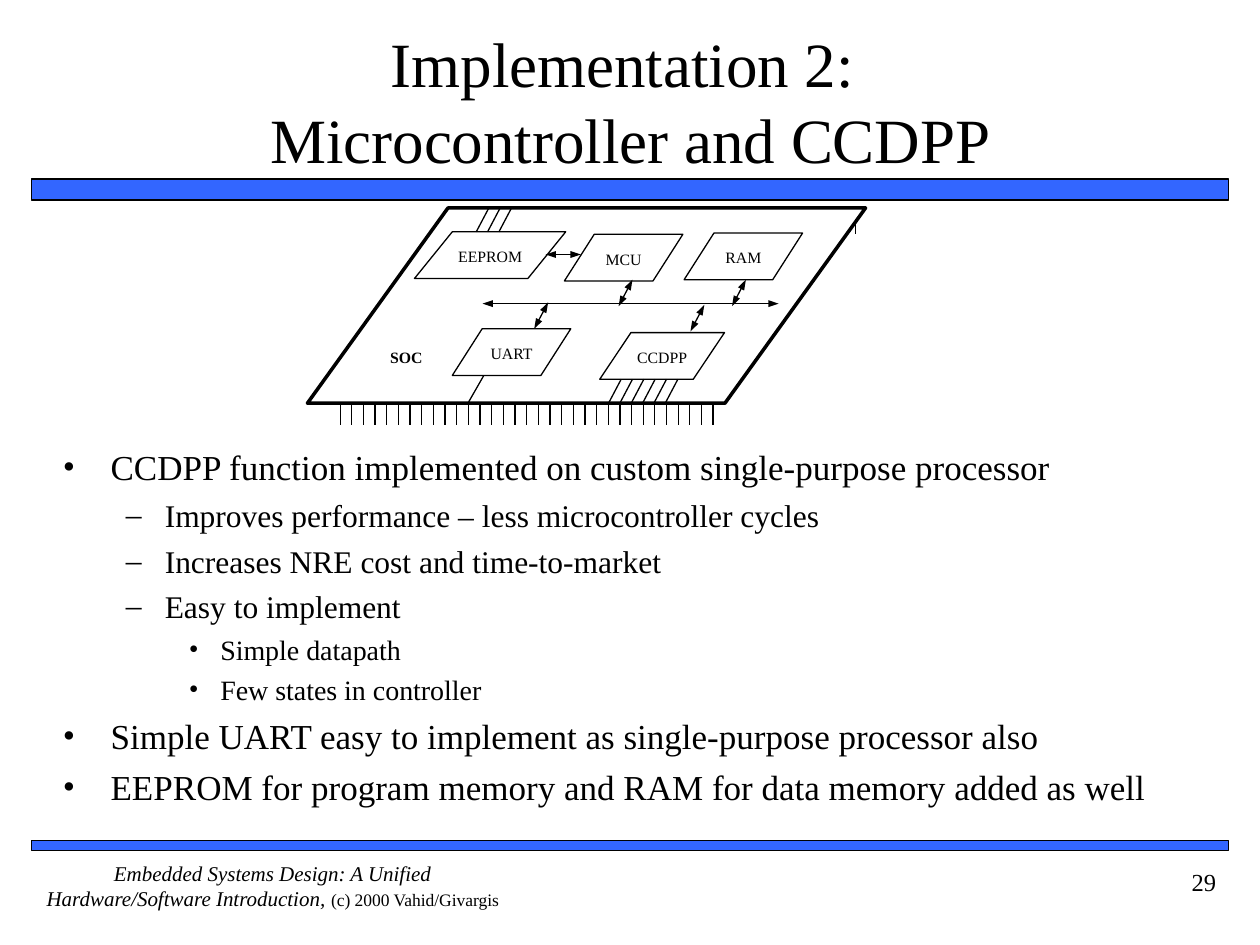
from lxml import etree
from pptx import Presentation
from pptx.dml.color import RGBColor
from pptx.enum.shapes import MSO_CONNECTOR as CONN, MSO_SHAPE as SHAPE
from pptx.enum.text import MSO_ANCHOR as ANCHOR, PP_ALIGN as ALIGN
from pptx.oxml.ns import qn
from pptx.util import Inches, Pt

COLORS = {"ink": "000000", "paper": "FFFFFF", "bar": "3366FF"}


class SlideBuilder:
    font = "Times New Roman"

    def __init__(self, slide):
        self.shapes = slide.shapes

    def color(self, name):
        return RGBColor.from_string(COLORS[name])

    def style(self, p, size, bold=False, italic=False):
        for r in p.runs:
            f = r.font
            f.name, f.size, f.bold, f.italic = self.font, Pt(size), bold, italic
            f.color.rgb = self.color("ink")

    def frame(self, sp, inset_x=0.1, inset_y=0.05, anchor=ANCHOR.TOP, wrap=True):
        tf = sp.text_frame
        tf.word_wrap, tf.vertical_anchor = wrap, anchor
        tf.margin_left = tf.margin_right = Inches(inset_x)
        tf.margin_top = tf.margin_bottom = Inches(inset_y)
        return tf

    def shape(self, kind, box, fill, line=None):
        sp = self.shapes.add_shape(kind, *map(Inches, box))
        sp.shadow.inherit = False
        sp.fill.solid()
        sp.fill.fore_color.rgb = self.color(fill)
        if line:
            sp.line.color.rgb = self.color("ink")
            sp.line.width = Pt(line)
        else:
            sp.line.fill.background()
        return sp

    def label(self, sp, text, bold=False):
        tf = self.frame(sp, wrap=False)
        tf.text = text
        p = tf.paragraphs[0]
        p.alignment = ALIGN.CENTER
        self.style(p, 9, bold)

    def block(self, text, box, skew):
        sp = self.shape(SHAPE.PARALLELOGRAM, box, "paper", 0.75)
        sp.adjustments[0] = skew
        self.label(sp, text)

    def line(self, x1, y1, x2, y2, arrows=False):
        c = self.shapes.add_connector(CONN.STRAIGHT, *map(Inches, (x1, y1, x2, y2)))
        c.line.color.rgb = self.color("ink")
        c.line.width = Pt(0.75)
        if arrows:
            ln = c.line._get_or_add_ln()
            for end in ("a:headEnd", "a:tailEnd"):
                etree.SubElement(ln, qn(end), type="triangle", w="sm", len="med")
        etree.SubElement(c._element.spPr, qn("a:effectLst"))

    def text(self, text, box, size, align, before=0, **frame):
        tf = self.frame(self.shapes.add_textbox(*map(Inches, box)), **frame)
        tf.text = text
        p = tf.paragraphs[0]
        p.alignment, p.space_before = align, Pt(before)
        self.style(p, size)
        return p

    def bullets(self, items, box, levels):
        tf = self.frame(self.shapes.add_textbox(*map(Inches, box)))
        tf.text = "\n".join(text for _, text in items)
        for p, (level, _) in zip(tf.paragraphs, items):
            size, before, left, hang, char = levels[level]
            p.level, p.space_before = level, Pt(before)
            self.style(p, size)
            pPr = p._p.get_or_add_pPr()
            pPr.set("marL", str(Inches(left)))
            pPr.set("indent", str(-Inches(hang)))
            etree.SubElement(pPr, qn("a:buFont"), typeface=self.font)
            etree.SubElement(pPr, qn("a:buChar"), char=char)


def main():
    prs = Presentation()
    prs.slide_width, prs.slide_height = Inches(10), Inches(7.5)
    s = SlideBuilder(prs.slides.add_slide(prs.slide_layouts[6]))

    # Bars and footer
    for top, height in ((1.42, 0.17), (6.67, 0.08)):
        s.shape(SHAPE.RECTANGLE, (0.25, top, 9.5, height), "bar", 1)
    p = s.text("Embedded Systems Design: A Unified Hardware/Software Introduction, ",
               (0.25, 6.83, 3.83, 0.5), 12, ALIGN.CENTER, inset_x=0, inset_y=0)
    p.add_run().text = "(c) 2000 Vahid/Givargis"
    s.style(p, 12, italic=True)
    credit = p.runs[1].font
    credit.size, credit.italic = Pt(10), False
    s.text("29", (8.75, 6.83, 1, 0.5), 14, ALIGN.RIGHT, before=8.8)

    # Title
    s.text("Implementation 2: \vMicrocontroller and CCDPP", (0.42, 0.17, 9.17, 1.25),
           36, ALIGN.CENTER, inset_x=0, anchor=ANCHOR.MIDDLE)

    # Body: size, space before, left indent, hanging, bullet for each level
    levels = [(20, 5, 0.38, 0.38, "•"), (18, 4.5, 0.81, 0.31, "–"),
              (16, 4, 1.25, 0.25, "•")]
    s.bullets([
        (0, "CCDPP function implemented on custom single-purpose processor"),
        (1, "Improves performance – less microcontroller cycles"),
        (1, "Increases NRE cost and time-to-market"),
        (1, "Easy to implement"),
        (2, "Simple datapath"),
        (2, "Few states in controller"),
        (0, "Simple UART easy to implement as single-purpose processor also"),
        (0, "EEPROM for program memory and RAM for data memory added as well"),
    ], (0.4, 3.49, 9.17, 3.12), levels)

    # Chip and its blocks
    chip = s.shape(SHAPE.PARALLELOGRAM, (2.44, 1.65, 4.43, 1.55), "paper", 2)
    chip.adjustments[0] = 0.72
    for name, left, top, width, skew in (
            ("MCU", 4.48, 1.86, 0.94, 0.64), ("UART", 3.59, 2.61, 0.94, 0.64),
            ("CCDPP", 4.76, 2.64, 0.99, 0.67), ("RAM", 5.43, 1.85, 0.94, 0.64),
            ("EEPROM", 3.29, 1.84, 1.2, 0.81)):
        s.block(name, (left, top, width, 0.37), skew)
    s.label(s.shape(SHAPE.RECTANGLE, (2.94, 2.71, 0.57, 0.42), "paper"), "SOC", bold=True)

    # Bus, block-to-bus links and EEPROM link
    s.line(3.83, 2.41, 6.18, 2.41, arrows=True)
    for x, y in ((4.24, 2.61), (5.48, 2.63), (5.81, 2.43), (4.91, 2.43)):
        s.line(x, y, x + 0.11, y - 0.21, arrows=True)
    s.line(4.33, 2.02, 4.61, 2.02, arrows=True)

    # Pins along the front edge and at the far corner
    pins, first, last = 33, 2.7, 5.66
    for i in range(pins):
        x = first + i * (last - first) / (pins - 1)
        s.line(x, 3.21, x, 3.37)
    s.line(6.79, 1.78, 6.79, 1.86)

    # Wires from blocks to the chip edges
    s.line(3.84, 2.98, 3.72, 3.19)
    for count, left, top in ((6, 4.93, 3.01), (3, 3.88, 1.65)):
        for i in range(count):
            x = left + i * 0.09
            s.line(x, top, x - 0.1, top + 0.19)

    prs.save("out.pptx")


if __name__ == "__main__":
    main()
